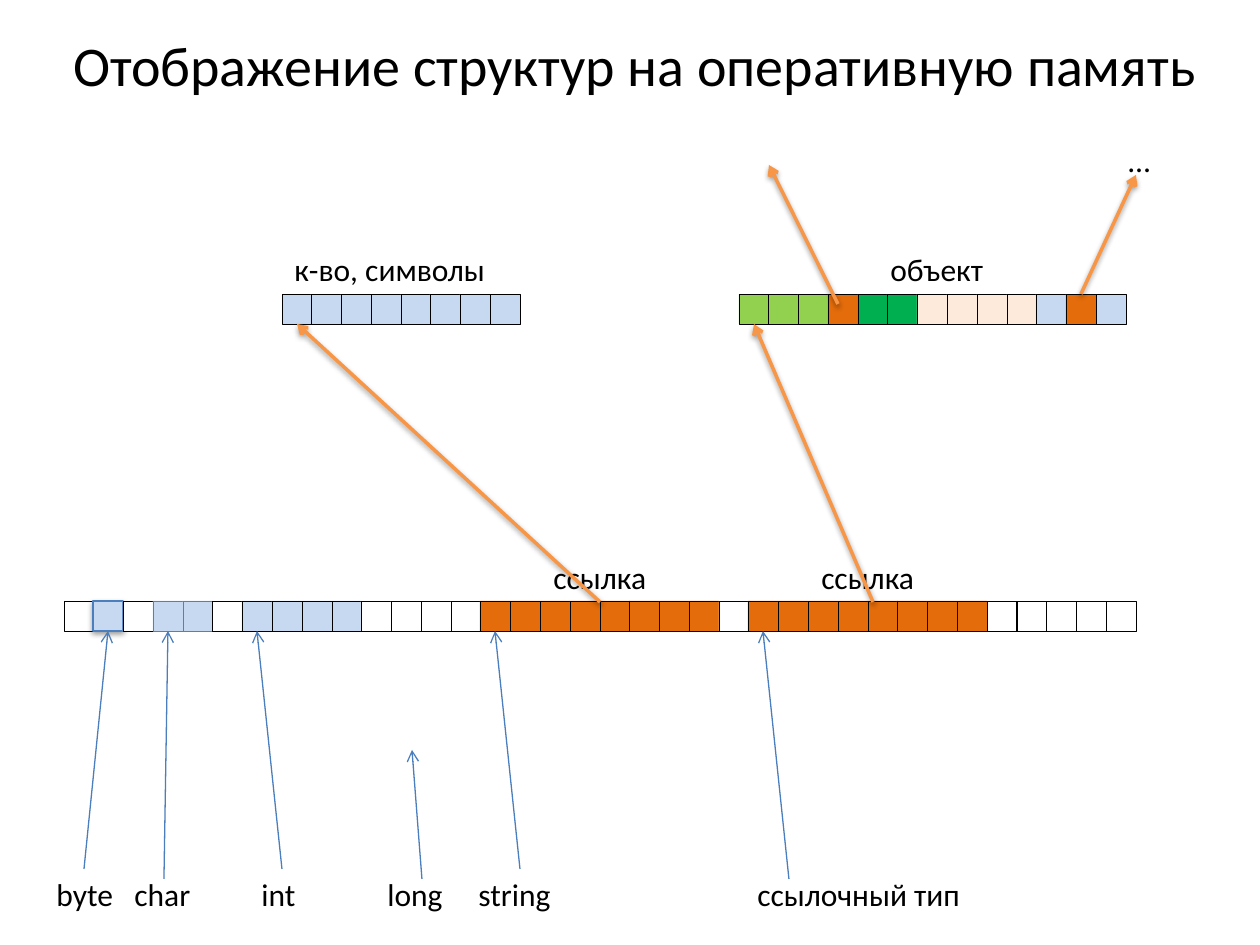
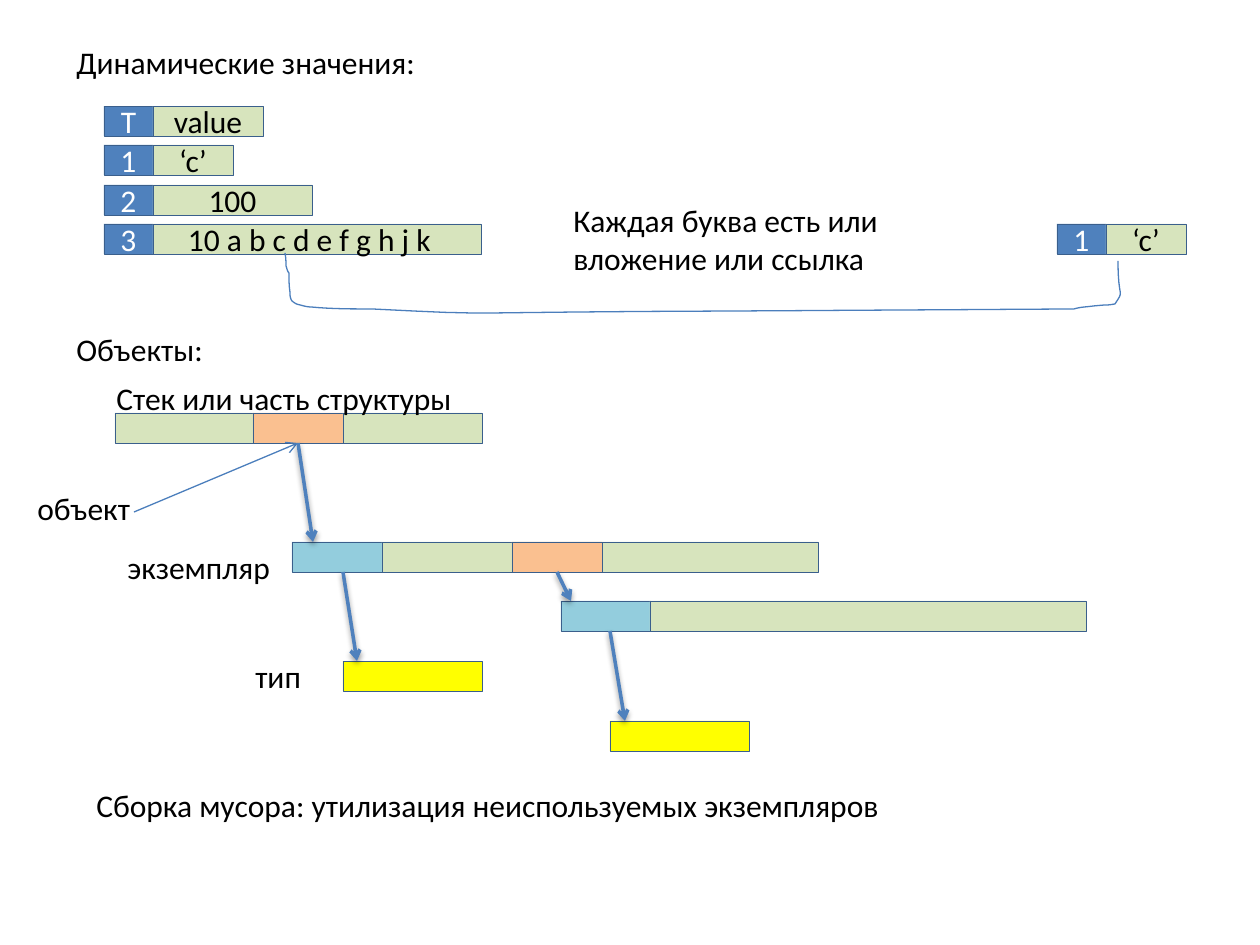
from lxml.etree import SubElement
from pptx import Presentation
from pptx.dml.color import RGBColor
from pptx.enum.shapes import MSO_CONNECTOR as Connector, MSO_SHAPE as Preset
from pptx.enum.text import MSO_ANCHOR as Anchor, PP_ALIGN as Align
from pptx.oxml.ns import qn
from pptx.util import Inches, Pt

PX = Inches(1) // 126
FONT = "Calibri"
BLACK, WHITE = "000000", "FFFFFF"
BLUE, THIN_BLUE, EDGE_BLUE = "4F81BD", "4B7EBC", "3A5F8C"
PALE_BLUE, AQUA, ORANGE, ARROW_ORANGE = "C6D9F1", "93CDDD", "E46C0A", "F79646"
LIME, GREEN, CREAM = "92D050", "00B050", "FDEADA"
PALE_GREEN, PEACH, YELLOW = "D7E4BD", "FAC090", "FFFF00"
BAR = 30  # height of every bar
LABEL = 50  # height of a one-line label
rgb = RGBColor.from_string


def add_box(page, left, top, width, height, text="", fill=None, line=None, color=BLACK):
    """A label when no line is given, otherwise a bar with centred text."""
    place = [length * PX for length in (left, top, width, height)]
    if line is None:
        box = page.shapes.add_textbox(*place)
    else:
        box = page.shapes.add_shape(Preset.RECTANGLE, *place)
        box.shadow.inherit = False
        box.line.color.rgb = rgb(line)
        box.line.width = Pt(0.25)
        if fill:
            box.fill.solid()
            box.fill.fore_color.rgb = rgb(fill)
        else:
            box.fill.background()
    frame = box.text_frame
    frame.word_wrap = True
    if text:
        frame.text = text
        para = frame.paragraphs[0]
        para.font.size, para.font.name = Pt(18), FONT
        para.font.color.rgb = rgb(color)
        if line:
            frame.margin_left = frame.margin_right = frame.margin_top = frame.margin_bottom = 0
            frame.vertical_anchor = Anchor.MIDDLE
            para.alignment = Align.CENTER
    return box


def add_arrow(page, start, end, color=THIN_BLUE, heavy=False):
    """Each end is a point (x, y) or a joint (box, site)."""
    arrow = page.shapes.add_connector(Connector.STRAIGHT, 0, 0, 0, 0)
    if isinstance(start[0], int):
        arrow.begin_x, arrow.begin_y = start[0] * PX, start[1] * PX
    else:
        arrow.begin_connect(*start)
    if isinstance(end[0], int):
        arrow.end_x, arrow.end_y = end[0] * PX, end[1] * PX
    else:
        arrow.end_connect(*end)
    arrow.line.color.rgb = rgb(color)
    arrow.line.width = Pt(2 if heavy else 0.75)
    props = arrow._element.spPr
    SubElement(props.find(qn("a:ln")), qn("a:tailEnd"), type="arrow")
    effects = SubElement(props, qn("a:effectLst"))
    if heavy:
        shadowed.append(effects)


deck = Presentation()
deck.slide_width, deck.slide_height = Inches(10), Inches(7.5)
shadowed = []  # effect lists that receive the soft shadow

# Slide 1: structures in memory
page = deck.slides.add_slide(deck.slide_layouts[5])
title = page.shapes.title
title.left, title.top, title.width, title.height = 54 * PX, 16 * PX, 1162 * PX, 97 * PX
title.text_frame.text = "Отображение структур на оперативную память"
title.text_frame.vertical_anchor = Anchor.MIDDLE
para = title.text_frame.paragraphs[0]
para.alignment = Align.CENTER
para.font.size, para.font.name = Pt(32), FONT
para.font.color.rgb = rgb(BLACK)

# Rows of memory cells: left, top, runs of (fill, line, count); 36 cells span 1072 px
rows = {
    "memory": (64, 601, [
        (WHITE, BLACK, 1), (PALE_BLUE, THIN_BLUE, 1), (WHITE, BLACK, 1), (PALE_BLUE, BLUE, 2),
        (WHITE, BLACK, 1), (PALE_BLUE, BLACK, 4), (WHITE, BLACK, 4), (ORANGE, BLACK, 8),
        (WHITE, BLACK, 1), (ORANGE, BLACK, 8), (None, BLACK, 5)]),
    "string": (282, 294, [(PALE_BLUE, BLACK, 8)]),
    "object": (739, 294, [
        (LIME, BLACK, 3), (ORANGE, BLACK, 1), (GREEN, BLACK, 2), (CREAM, BLACK, 4),
        (PALE_BLUE, BLACK, 1), (ORANGE, BLACK, 1), (PALE_BLUE, BLACK, 1)]),
}
cells = {}
for name, (left, top, runs) in rows.items():
    cells[name] = []
    for fill, line, count in runs:
        for _ in range(count):
            offset = len(cells[name]) * 1072 // 36
            cells[name].append(add_box(page, left + offset, top, BAR, BAR, "", fill, line))
memory = cells["memory"]
byte_cell = memory[1]
byte_cell.line.width = Pt(0.75)
shadowed.append(byte_cell._element.spPr.find(qn("a:effectLst")))

# Labels
for left, top, width, text in [
    (541, 552, 118, "ссылка"), (809, 552, 129, "ссылка"), (282, 244, 228, "к-во, символы"),
    (878, 244, 129, "объект"), (1116, 135, 69, "…"),
]:
    add_box(page, left, top, width, LABEL, text)

# Type names on tab stops
type_names = ["byte", "char", "int", "long", "string", "ссылочный тип"]
names_box = add_box(page, 44, 869, 1131, LABEL, "\t".join(type_names))
para_props = names_box.text_frame.paragraphs[0]._p.get_or_add_pPr()
tabs = SubElement(para_props, qn("a:tabLst"))
para_props.insert(0, tabs)
for stop in (78, 205, 331, 422, 701):
    SubElement(tabs, qn("a:tab"), pos=str(stop * PX), algn="l")

# Arrows from type names to cells
for start, end in [
    ((84, 869), (memory[1], 2)), ((164, 879), (memory[3], 2)), ((282, 869), (memory[6], 2)),
    ((422, 879), (412, 750)), ((520, 869), (memory[14], 2)), ((789, 879), (memory[23], 2)),
]:
    add_arrow(page, start, end)

# References
for start, end in [
    ((600, 602), (cells["string"][0], 2)), ((873, 602), (cells["object"][0], 2)),
    ((cells["object"][11], 0), (1136, 175)), ((838, 304), (769, 165)),
]:
    add_arrow(page, start, end, ARROW_ORANGE, heavy=True)

# Slide 2: dynamic values and objects
page = deck.slides.add_slide(deck.slide_layouts[6])
add_box(page, 64, 37, 1121, LABEL, "Динамические значения:")
add_box(page, 64, 324, 1121, LABEL, "Объекты:")

# Tagged values: a type tag and the value beside it
for left, top, tag, value, width in [
    (104, 106, "T", "value", 110), (104, 145, "1", "‘c’", 80), (104, 185, "2", "100", 159),
    (104, 224, "3", "10 a b c d e f g h j k", 328), (1057, 224, "1", "‘c’", 80),
]:
    add_box(page, left, top, 49, BAR, tag, BLUE, EDGE_BLUE, WHITE)
    value_box = add_box(page, left + 49, top, width, BAR, value, PALE_GREEN, EDGE_BLUE)
    if width > 300:
        value_box.text_frame.margin_right = 15 * PX
add_box(page, 561, 195, 446, 89, "Каждая буква есть или вложение или ссылка")

# Curve from the letter to its value: cubic pieces, sampled
pen = (285, 253)
curve = page.shapes.build_freeform(pen[0] * PX, pen[1] * PX)
points = []
for piece in [
    ((286, 258), (286, 262), (286, 266)), ((287, 268), (287, 271), (289, 273)),
    ((289, 280), (289, 286), (290, 292)), ((290, 295), (290, 298), (292, 301)),
    ((296, 304), (296, 304), (300, 305)), ((304, 306), (307, 307), (311, 307)),
    ((331, 309), (352, 309), (372, 309)), ((512, 316), (431, 312), (746, 311)),
    ((746, 311), (1074, 309), (1074, 309)), ((1081, 307), (1086, 307), (1094, 306)),
    ((1113, 304), (1103, 306), (1115, 304)), ((1125, 289), (1118, 301), (1118, 261)),
]:
    for t in (0.125 * step for step in range(1, 9)):
        weights = ((1 - t) ** 3, 3 * t * (1 - t) ** 2, 3 * t * t * (1 - t), t ** 3)
        points.append(tuple(
            PX * sum(w * knot[axis] for w, knot in zip(weights, (pen, *piece))) for axis in (0, 1)))
    pen = piece[-1]
curve.add_line_segments(points, close=False)
letter_link = curve.convert_to_shape()
letter_link.shadow.inherit = False
letter_link.fill.background()
letter_link.line.color.rgb = rgb(THIN_BLUE)
letter_link.line.width = Pt(0.75)

# Bars of the stack, the instances and the types
bars = [
    add_box(page, left, top, width, BAR, "", fill, EDGE_BLUE)
    for left, top, width, fill in [
        (115, 413, 139, PALE_GREEN), (253, 413, 90, PEACH), (343, 413, 139, PALE_GREEN),
        (292, 542, 90, AQUA), (382, 542, 436, PALE_GREEN), (512, 542, 90, PEACH),
        (561, 601, 90, AQUA), (650, 601, 436, PALE_GREEN),
        (343, 661, 139, YELLOW), (610, 721, 139, YELLOW)]
]
stack_reference, inner_reference = bars[1], bars[5]

# Arrows
add_arrow(page, (134, 512), (stack_reference, 2))
for start, end in [
    ((stack_reference, 2), (313, 542)), ((343, 572), (357, 661)),
    ((610, 631), (625, 721)), ((inner_reference, 2), (571, 601)),
]:
    add_arrow(page, start, end, BLUE, heavy=True)

# Labels
for left, top, width, text in [
    (104, 373, 387, "Стек или часть структуры"), (25, 483, 149, "объект"),
    (115, 542, 189, "экземпляр"), (243, 651, 90, "тип"),
    (84, 780, 873, "Сборка мусора: утилизация неиспользуемых экземпляров"),
]:
    add_box(page, left, top, width, LABEL, text)

# Soft shadow for the byte cell and the heavy arrows
for effects in shadowed:
    shadow = SubElement(effects, qn("a:outerShdw"), blurRad="40000", dist="20000",
                        dir="5400000", rotWithShape="0")
    tint = SubElement(shadow, qn("a:srgbClr"), val=BLACK)
    SubElement(tint, qn("a:alpha"), val="38000")

deck.save("out.pptx")
